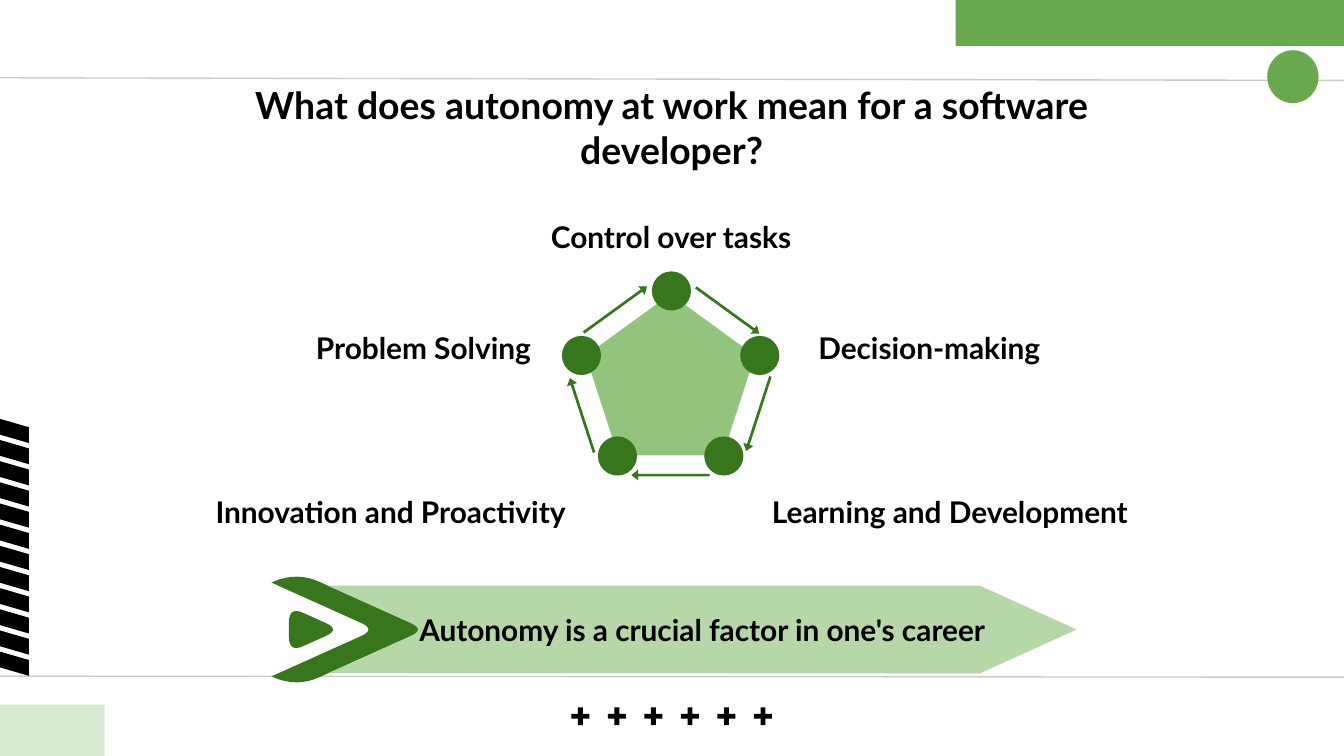
from math import dist

from lxml.etree import SubElement
from pptx import Presentation
from pptx.dml.color import RGBColor
from pptx.enum.shapes import MSO_CONNECTOR, MSO_SHAPE
from pptx.enum.text import MSO_ANCHOR, MSO_AUTO_SIZE, PP_ALIGN
from pptx.oxml.ns import qn
from pptx.util import Cm, Pt

COLORS = {
    "text": "000000",
    "rule": "CCCCCC",
    "banner": "6AA850",
    "corner": "D9EAD3",
    "dark": "38761D",
    "pentagon": "93C47D",
    "arrow": "B6D7A8",
}


def write_text(shape, text, size=16, anchor=MSO_ANCHOR.TOP, fit=MSO_AUTO_SIZE.NONE):
    frame = shape.text_frame
    frame.word_wrap = True
    frame.auto_size = fit
    frame.vertical_anchor = anchor
    frame.margin_left = frame.margin_right = Cm(0.25)
    frame.margin_top = frame.margin_bottom = Cm(0.25)
    paragraph = frame.paragraphs[0]
    paragraph.alignment = PP_ALIGN.CENTER
    run = paragraph.add_run()
    run.text = text
    run.font.name = "Lato"
    run.font.size = Pt(size)
    run.font.bold = True
    run.font.color.rgb = RGBColor.from_string(COLORS["text"])


def add_block(kind, left, top, width, height, color, rotation=0, adjustments=()):
    shape = slide.shapes.add_shape(kind, Cm(left), Cm(top), Cm(width), Cm(height))
    shape.shadow.inherit = False
    shape.fill.solid()
    shape.fill.fore_color.rgb = RGBColor.from_string(COLORS[color])
    shape.line.fill.background()
    shape.rotation = rotation
    for index, value in enumerate(adjustments):
        shape.adjustments[index] = value


presentation = Presentation()
presentation.slide_width = Cm(25.4)
presentation.slide_height = Cm(14.29)
slide = presentation.slides.add_slide(presentation.slide_layouts[5])

for start, end in ((1.47, 1.52), (12.78, 12.8)):
    rule = slide.shapes.add_connector(
        MSO_CONNECTOR.STRAIGHT, Cm(0), Cm(start), Cm(25.4), Cm(end)
    )
    rule.line.color.rgb = RGBColor.from_string(COLORS["rule"])
    rule.line.width = Pt(0.75)
    SubElement(rule.element.spPr, qn("a:effectLst"))

for index in range(12):
    add_block(MSO_SHAPE.PARALLELOGRAM, -0.23, 7.6 + 0.4 * index, 0.58, 0.97,
              "text", rotation=90, adjustments=[0.485])
for index in range(6):
    add_block(MSO_SHAPE.MATH_PLUS, 10.74 + 0.69 * index, 13.31, 0.46, 0.46,
              "text", adjustments=[0.197])

add_block(MSO_SHAPE.RECTANGLE, 18.06, 0, 7.34, 0.87, "banner")
add_block(MSO_SHAPE.OVAL, 23.95, 0.95, 0.97, 1.0, "banner")
add_block(MSO_SHAPE.RECTANGLE, 0, 13.32, 1.98, 0.97, "corner")

title = slide.shapes.title
title.left, title.top, title.width, title.height = Cm(3.68), Cm(1.6), Cm(18.03), Cm(1.6)
write_text(title, "What does autonomy at work mean for a software developer?",
           size=20, anchor=MSO_ANCHOR.MIDDLE)

labels = [
    ("Control over tasks", 9.98, 3.89, 5.41),
    ("Decision-making", 14.86, 5.98, 5.41),
    ("Learning and Development", 13.94, 9.09, 8.03),
    ("Innovation and Proactivity", 3.37, 9.09, 8.03),
    ("Problem Solving", 5.45, 5.98, 5.11),
]
for text, left, top, width in labels:
    label = slide.shapes.add_textbox(Cm(left), Cm(top), Cm(width), Cm(1.19))
    write_text(label, text, fit=MSO_AUTO_SIZE.SHAPE_TO_FIT_TEXT)

axis, slope, rounding = 11.9, 0.45, 0.3
tip, notch, nose = 8.04, 7.1, 6.43
tail, crest, core_back = 5.13, 5.61, 5.46
body_left, body_shoulder, body_tip = 6.2, 18.52, 20.35
body_half = slope * (tip - body_left)
upper_halves = {
    "chevron": ("dark", [
        (notch, 0, rounding),
        (tail, slope * (notch - tail), 0),
        (crest, slope * (tip - crest), 0.47),
        (tip, 0, rounding),
    ]),
    "core": ("dark", [
        (core_back, 0, 0),
        (core_back, slope * (nose - core_back), rounding),
        (nose, 0, rounding),
    ]),
    "body": ("arrow", [
        (tip, 0, rounding),
        (body_left, body_half, 0),
        (body_shoulder, body_half, 0),
        (body_tip, 0, 0),
    ]),
}
for name, (color, half) in upper_halves.items():
    corners = half + [(x, -y, cut) for x, y, cut in half[-2:0:-1]]
    points = []
    for index, (x, y, cut) in enumerate(corners):
        if cut == 0:
            points.append((x, y))
            continue
        ends = []
        for near_x, near_y, _ in (corners[index - 1], corners[(index + 1) % len(corners)]):
            share = cut / dist((x, y), (near_x, near_y))
            ends.append((x + share * (near_x - x), y + share * (near_y - y)))
        (x0, y0), (x1, y1) = ends
        for step in range(9):
            t = step / 8
            a, b, c = (1 - t) ** 2, 2 * t * (1 - t), t**2
            points.append((a * x0 + b * x + c * x1, a * y0 + b * y + c * y1))
    outline = [(Cm(x), Cm(axis - y)) for x, y in points]
    builder = slide.shapes.build_freeform(*outline[0])
    builder.add_line_segments(outline[1:], close=True)
    shape = builder.convert_to_shape()
    shape.shadow.inherit = False
    shape.fill.solid()
    shape.fill.fore_color.rgb = RGBColor.from_string(COLORS[color])
    shape.line.fill.background()
    if name == "body":
        write_text(shape, "Autonomy is a crucial factor in one's career",
                   anchor=MSO_ANCHOR.MIDDLE)

add_block(MSO_SHAPE.REGULAR_PENTAGON, 11.07, 5.56, 3.2, 3.05, "pentagon")
node_centers = [(12.69, 5.5), (14.36, 6.72), (13.68, 8.62), (11.67, 8.62), (10.99, 6.72)]
arrow_centers = [(13.75, 5.87), (14.33, 7.82), (12.67, 8.98), (11, 7.85), (11.63, 5.85)]
for index, ((node_x, node_y), (arrow_x, arrow_y)) in enumerate(zip(node_centers, arrow_centers)):
    add_block(MSO_SHAPE.OVAL, node_x - 0.37, node_y - 0.37, 0.74, 0.74, "dark")
    add_block(MSO_SHAPE.RIGHT_ARROW, arrow_x - 0.74, arrow_y - 0.1, 1.48, 0.2,
              "dark", rotation=36 + 72 * index, adjustments=[0.255, 0.643])

presentation.save("out.pptx")
